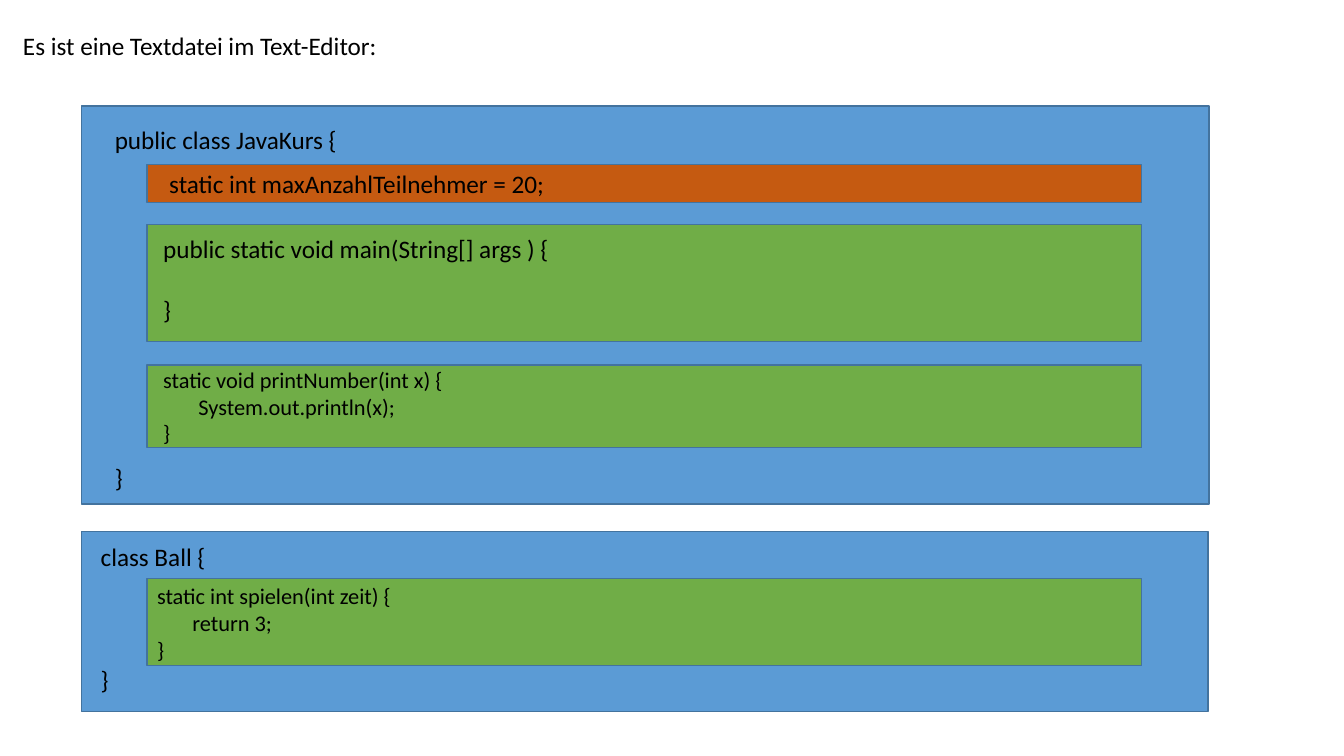
from collections import namedtuple

from pptx import Presentation
from pptx.dml.color import RGBColor
from pptx.enum.shapes import MSO_SHAPE
from pptx.enum.text import PP_ALIGN
from pptx.util import Inches, Pt

COLORS = {
    "class": "5B9BD5",
    "method": "70AD47",
    "field": "C55A11",
    "border": "43739E",
    "text": "000000",
}
LINE_FACTOR = 1.22  # line height of the font relative to its size
INDENT = 0.35
MEMBER_LEFT, MEMBER_WIDTH = 0.65, 9.86

Box = namedtuple("Box", "left top width height")
# A code line: its text, indent level and the number of open lines above it
Line = namedtuple("Line", "text level gap", defaults=(0, 0))
# A class member: offset from the class top, height, text offset from its corner
Member = namedtuple("Member", "kind top height text_left text_top size lines")


def color(name):
    """Return the named palette colour."""
    return RGBColor.from_string(COLORS[name])


def add_block(slide, box, kind):
    """Draw a bordered rectangle in the colour of its kind."""
    shape = slide.shapes.add_shape(MSO_SHAPE.RECTANGLE, *map(Inches, box))
    shape.shadow.inherit = False
    shape.fill.solid()
    shape.fill.fore_color.rgb = color(kind)
    shape.line.color.rgb = color("border")
    shape.line.width = Pt(1)


def add_code(slide, box, lines, size=18):
    """Write lines of text, with gaps and indents as paragraph formats."""
    frame = slide.shapes.add_textbox(*map(Inches, box)).text_frame
    frame.word_wrap = True
    for index, line in enumerate(lines):
        paragraph = frame.paragraphs[0] if index == 0 else frame.add_paragraph()
        paragraph.alignment = PP_ALIGN.LEFT
        paragraph.space_before = Pt(round(line.gap * size * LINE_FACTOR))
        if line.level:
            properties = paragraph._p.get_or_add_pPr()
            properties.set("marL", str(Inches(line.level * INDENT)))
            properties.set("indent", "0")
        run = paragraph.add_run()
        run.text = line.text
        run.font.color.rgb = color("text")
        for name, value in {"name": "Calibri", "size": Pt(size)}.items():
            setattr(run.font, name, value)


def add_member(slide, box, member):
    """Draw a field or method block with its code."""
    add_block(slide, box, member.kind)
    code_box = Box(box.left + member.text_left, box.top + member.text_top,
                   5, box.height)
    add_code(slide, code_box, member.lines, member.size)


def add_class(slide, box, text_left, text_top, lines, members):
    """Draw a class block, its opening and closing lines and its members."""
    add_block(slide, box, "class")
    code_box = Box(box.left + text_left, box.top + text_top,
                   3, box.height - 2 * text_top)
    add_code(slide, code_box, lines)
    for member in members:
        member_box = Box(box.left + MEMBER_LEFT, box.top + member.top,
                         MEMBER_WIDTH, member.height)
        add_member(slide, member_box, member)


def build_slide(slide):
    """Place the heading and both classes of the text file."""
    add_code(slide, Box(0.13, 0.25, 5, 0.4),
             [Line("Es ist eine Textdatei im Text-Editor:")])
    course_members = [
        Member("field", 0.58, 0.38, 0.12, -0.01, 18,
               [Line("static int maxAnzahlTeilnehmer = 20;")]),
        Member("method", 1.18, 1.16, 0.06, 0.04, 18,
               [Line("public static void main(String[] args ) {"),
                Line("}", gap=1)]),
        Member("method", 2.57, 0.82, 0.06, -0.04, 16,
               [Line("static void printNumber(int x) {"),
                Line("System.out.println(x);", level=1), Line("}")]),
    ]
    add_class(slide, Box(0.81, 1.05, 11.18, 3.95), 0.23, 0.13,
              [Line("public class JavaKurs {"), Line("}", gap=10)],
              course_members)
    ball_members = [
        Member("method", 0.47, 0.86, 0, -0.01, 16,
               [Line("static int spielen(int zeit) {"),
                Line("return 3;", level=1), Line("}")]),
    ]
    add_class(slide, Box(0.81, 5.27, 11.17, 1.79), 0.09, 0.05,
              [Line("class Ball {"), Line("}", gap=3)], ball_members)


presentation = Presentation()
presentation.slide_width = Inches(13.33)
presentation.slide_height = Inches(7.5)
build_slide(presentation.slides.add_slide(presentation.slide_layouts[6]))
presentation.save("out.pptx")
